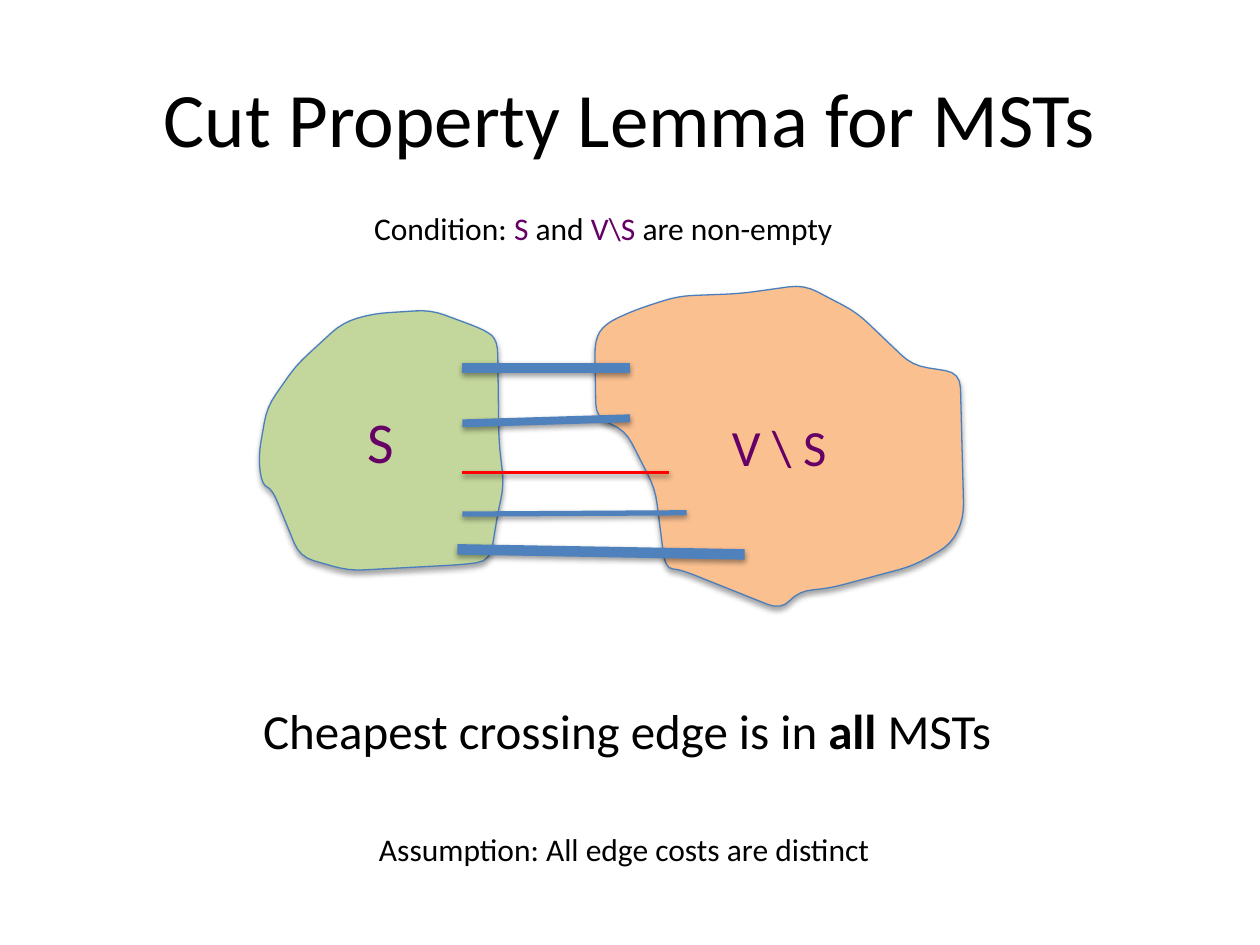
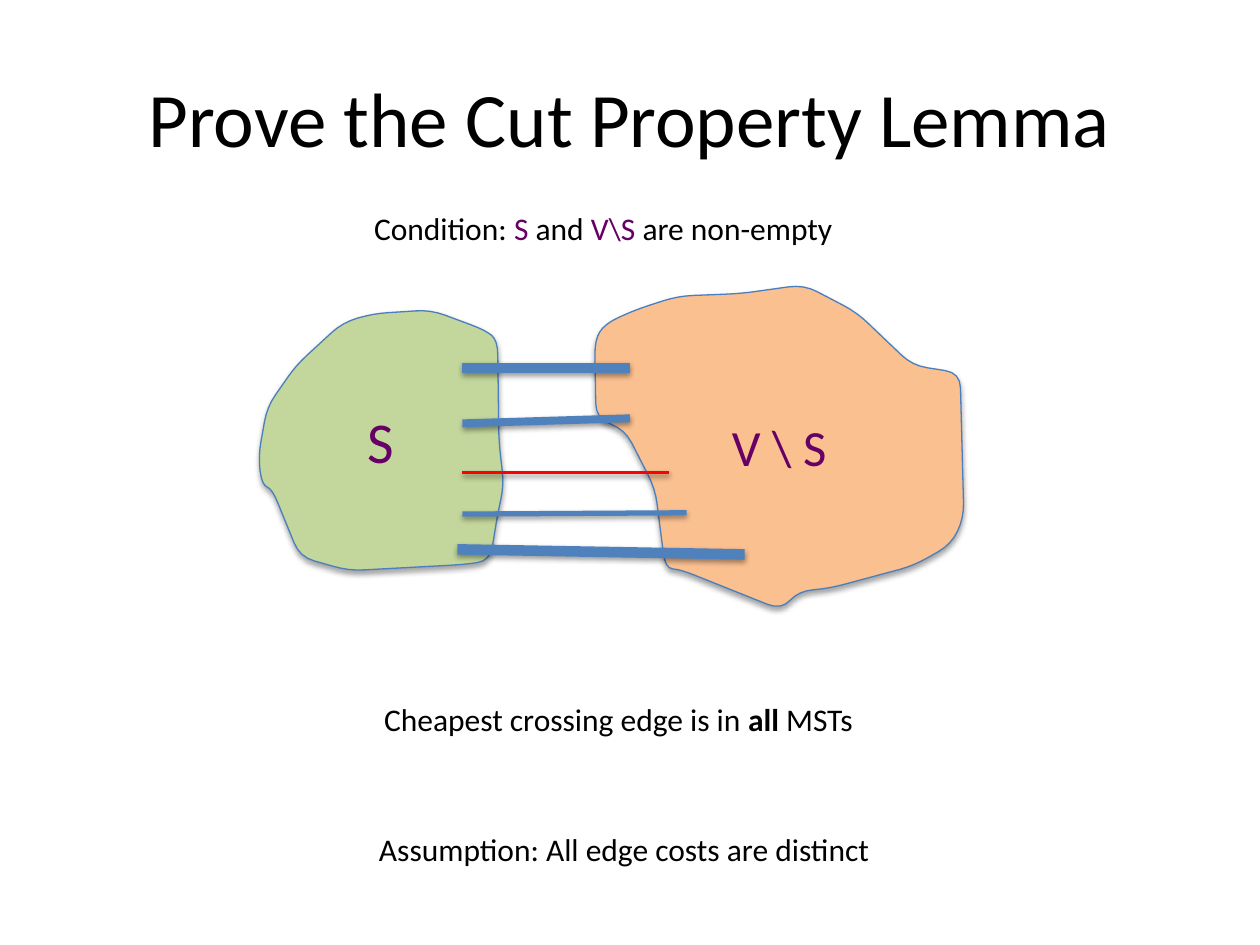
from dataclasses import dataclass

from lxml import etree
from pptx import Presentation
from pptx.dml.color import RGBColor
from pptx.enum.shapes import MSO_CONNECTOR
from pptx.enum.text import MSO_ANCHOR, MSO_AUTO_SIZE, PP_ALIGN
from pptx.oxml.ns import qn
from pptx.util import Inches, Pt

STRAIGHT = MSO_CONNECTOR.STRAIGHT
MIDDLE = MSO_ANCHOR.MIDDLE
CENTER = PP_ALIGN.CENTER
GROW = MSO_AUTO_SIZE.SHAPE_TO_FIT_TEXT


@dataclass(frozen=True)
class Theme:
    """Colours, font and type sizes of the deck."""
    font: str = "Calibri"
    ink: str = "000000"
    plum: str = "660066"
    green: str = "C3D69B"
    peach: str = "FAC090"
    rim: str = "4B7EBC"
    blue: str = "4F81BD"
    red: str = "FF0000"
    title: int = 44
    small_set: int = 33
    large_set: int = 29
    claim: int = 28
    note: int = 18


theme = Theme()


def write(para, size, runs):
    """Add (text, colour, bold) runs to a paragraph."""
    for text, color, bold in runs:
        run = para.add_run()
        run.text = text
        run.font.name = theme.font
        run.font.size = Pt(size)
        run.font.bold = bold
        run.font.color.rgb = RGBColor.from_string(color)


def shade(shape, alpha, dist):
    """Give a shape a soft black shadow straight below it."""
    effects = etree.SubElement(shape._element.spPr, qn("a:effectLst"))
    outer = etree.SubElement(effects, qn("a:outerShdw"), blurRad=str(Pt(3.1)),
                             dist=str(Pt(dist)), dir="5400000", rotWithShape="0")
    black = etree.SubElement(outer, qn("a:srgbClr"), val="000000")
    etree.SubElement(black, qn("a:alpha"), val=str(alpha * 1000))


# The two vertex sets of the cut: corners in inches, run counter-clockwise
SETS = [
    {"label": "S", "size": theme.small_set, "fill": theme.green, "corners": {
        "left": [(2.35, 2.9), (2.12, 3.23), (2.05, 3.63), (2.08, 3.85), (2.16, 3.88)],
        "bottom": [(2.38, 4.42), (2.77, 4.53), (3.69, 4.48), (3.89, 4.45)],
        "right": [(3.95, 4.08), (4, 3.85), (3.96, 3.51), (3.95, 2.7)],
        "top": [(3.85, 2.62), (3.42, 2.46), (2.96, 2.49), (2.72, 2.56)],
    }},
    {"label": "V \\ S", "size": theme.large_set, "fill": theme.peach, "corners": {
        "top": [(6.38, 2.26), (5.88, 2.33), (5.38, 2.35), (5.04, 2.46), (4.8, 2.57)],
        "left": [(4.72, 2.7), (4.73, 3.32), (4.96, 3.41), (5.2, 3.88), (5.28, 4.51)],
        "bottom": [(5.4, 4.52), (6.2, 4.84), (6.34, 4.69), (6.58, 4.67), (7.25, 4.49)],
        "right": [(7.55, 4.32), (7.65, 4.11), (7.62, 2.96), (7.24, 2.9), (6.8, 2.48)],
    }},
]
BEND = 0.12   # length of edge that each rounded corner takes up
STEPS = 4     # straight pieces in each rounded corner

# Round each corner with a quadratic curve; x + yj is one point
for part in SETS:
    spots = [complex(x, y) for edge in part["corners"].values() for x, y in edge]
    part["outline"] = []
    for i, spot in enumerate(spots):
        before, after = spots[i - 1] - spot, spots[(i + 1) % len(spots)] - spot
        enter = spot + before * min(0.5, BEND / abs(before))
        leave = spot + after * min(0.5, BEND / abs(after))
        for step in range(STEPS + 1):
            t = step / STEPS
            dot = (1 - t) ** 2 * enter + 2 * t * (1 - t) * spot + t ** 2 * leave
            part["outline"].append((Inches(dot.real), Inches(dot.imag)))

# Crossing edges: start, end, colour, weight; the cheapest is thin and red
EDGES = [
    ((3.67, 2.92), (5, 2.92), theme.blue, 6),
    ((3.67, 3.36), (5, 3.32), theme.blue, 4.5),
    ((3.67, 4.08), (5.45, 4.07), theme.blue, 3),
    ((3.67, 3.75), (5.31, 3.75), theme.red, 2),
    ((3.63, 4.36), (5.91, 4.4), theme.blue, 6),
]

CLAIM = [
    ("Cheapest crossing edge is in ", theme.ink, False),
    ("all", theme.ink, True),
    (" MSTs", theme.ink, False),
]
NOTES = [
    ((2.87, 1.61, 3.88, 0.4), theme.note, [
        ("Condition: ", theme.ink, False),
        ("S", theme.plum, False),
        (" and ", theme.ink, False),
        ("V\\S", theme.plum, False),
        (" are non-empty", theme.ink, False),
    ]),
    ((2.91, 6.54, 4.14, 0.4), theme.note, [
        ("Assumption: All edge costs are distinct", theme.ink, False),
    ]),
]

# Title, then place and size of the claim
SLIDES = [
    ("Cut Property Lemma for MSTs", (1.99, 5.51, 6.04, 0.57), theme.claim),
    ("Prove the Cut Property Lemma", (2.95, 5.51, 3.95, 0.4), theme.note),
]

deck = Presentation()
deck.slide_width, deck.slide_height = Inches(10), Inches(7.5)
title_only = deck.slide_layouts[5]

for head, place, size in SLIDES:
    shapes = deck.slides.add_slide(title_only).shapes

    # Title
    title = shapes.title
    title.left, title.top = Inches(0.5), Inches(0.3)
    title.width, title.height = Inches(9), Inches(1.25)
    title.text_frame.vertical_anchor = MIDDLE
    para = title.text_frame.paragraphs[0]
    para.alignment = CENTER
    write(para, theme.title, [(head, theme.ink, False)])

    # Vertex sets
    for part in SETS:
        first, *rest = part["outline"]
        pen = shapes.build_freeform(*first)
        pen.add_line_segments(rest, close=True)
        blob = pen.convert_to_shape()
        blob.fill.solid()
        blob.fill.fore_color.rgb = RGBColor.from_string(part["fill"])
        blob.line.color.rgb = RGBColor.from_string(theme.rim)
        blob.line.width = Pt(0.75)
        shade(blob, 35, 1.8)
        blob.text_frame.vertical_anchor = MIDDLE
        para = blob.text_frame.paragraphs[0]
        para.alignment = CENTER
        write(para, part["size"], [(part["label"], theme.plum, False)])

    # Crossing edges
    for start, end, color, weight in EDGES:
        ends = [Inches(v) for v in start + end]
        edge = shapes.add_connector(STRAIGHT, *ends)
        edge.line.color.rgb = RGBColor.from_string(color)
        edge.line.width = Pt(weight)
        shade(edge, 38, 1.6)

    # Claim and notes
    for box, points, runs in [(place, size, CLAIM)] + NOTES:
        frame = shapes.add_textbox(*[Inches(v) for v in box]).text_frame
        frame.word_wrap = False
        frame.auto_size = GROW
        write(frame.paragraphs[0], points, runs)

deck.save("out.pptx")
